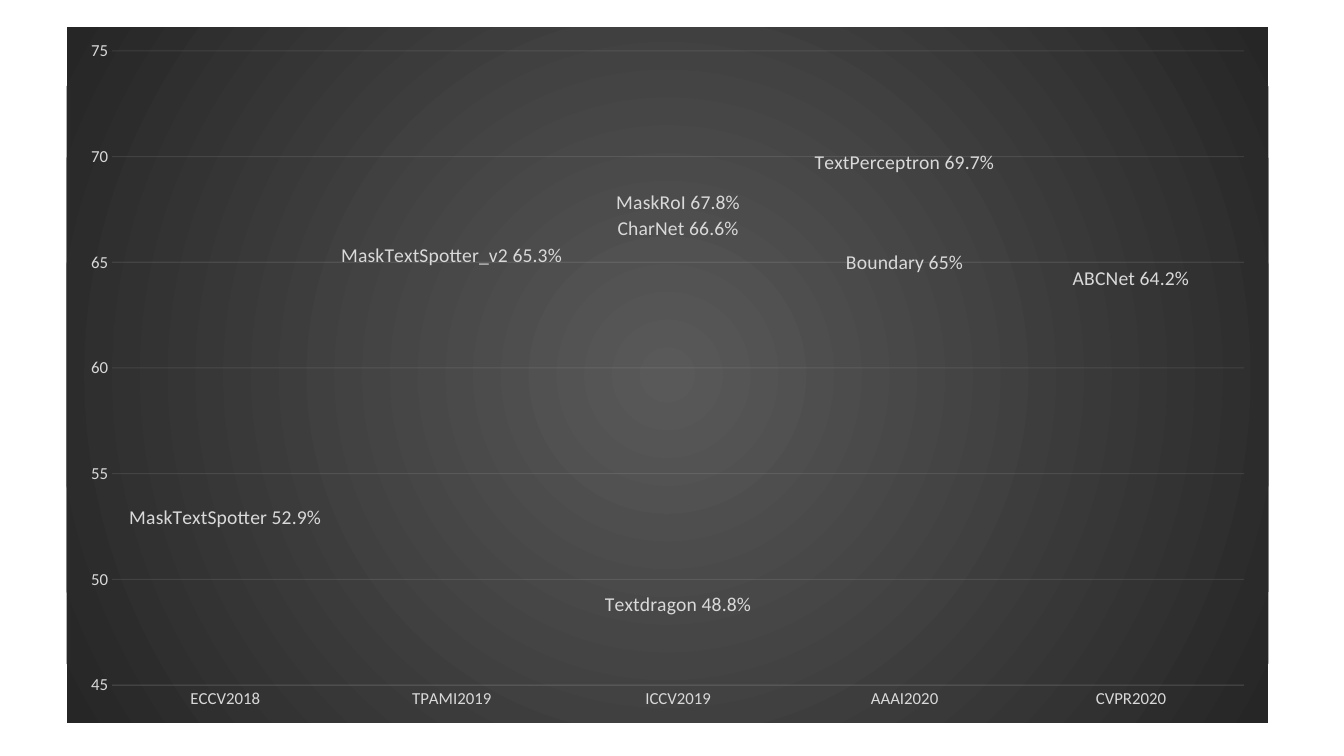
import lxml.etree
import pptx
import pptx.chart.data
import pptx.dml.color
import pptx.enum.chart
import pptx.oxml
import pptx.oxml.ns
import pptx.util

VENUES = ["ECCV2018", "TPAMI2019", "ICCV2019", "AAAI2020", "CVPR2020"]
RESULTS = [
    ("Series 1", [("MaskTextSpotter", 52.9), ("MaskTextSpotter_v2", 65.3),
                  ("Textdragon", 48.8), ("Boundary", 65), ("ABCNet", 64.2)]),
    ("Series 2", [None, None, ("CharNet", 66.6), ("TextPerceptron", 69.7), None]),
    ("Series 3", [None, None, ("MaskRoI", 67.8), None, None]),
]
FONT = "Calibri"
TEXT_COLOR = "D9D9D9"
GRID_COLOR = "F2F2F2"
GRADIENT = [(0, "595959"), (100, "262626")]
SLIDE_SIZE = (13.33, 7.5)
CHART_BOX = (0.66, 0.27, 11.92, 6.9)
PLOT_SHARES = {"x": 0.038, "y": 0.034, "w": 0.942, "h": 0.912}


def color(value):
    return pptx.dml.color.RGBColor.from_string(value)


def style_font(font, size):
    font.name = FONT
    font.size = pptx.util.Pt(size)
    font.bold = False
    font.color.rgb = color(TEXT_COLOR)


def style_faint_line(line):
    line.width = pptx.util.Pt(0.75)
    line.color.rgb = color(GRID_COLOR)
    fill = line.fill._xPr.find(pptx.oxml.ns.qn("a:solidFill"))
    lxml.etree.SubElement(fill[0], pptx.oxml.ns.qn("a:alpha"), val="10000")


def fill_background(chart):
    stops = "".join(
        f'<a:gs pos="{position * 1000}"><a:srgbClr val="{value}"/></a:gs>'
        for position, value in GRADIENT)
    properties = pptx.oxml.parse_xml(
        f'<c:spPr {pptx.oxml.ns.nsdecls("c", "a")}><a:gradFill><a:gsLst>{stops}</a:gsLst>'
        '<a:path path="circle"><a:fillToRect l="50000" t="50000" r="50000" b="50000"/></a:path>'
        '</a:gradFill><a:ln><a:noFill/></a:ln></c:spPr>')
    chart.element.find(pptx.oxml.ns.qn("c:chart")).addnext(properties)


def place_plot(chart):
    plot_area = chart.element.find(".//" + pptx.oxml.ns.qn("c:plotArea"))
    for layout in plot_area.findall(pptx.oxml.ns.qn("c:layout")):
        plot_area.remove(layout)
    shares = "".join(f'<c:{key} val="{share}"/>' for key, share in PLOT_SHARES.items())
    plot_area.insert(0, pptx.oxml.parse_xml(
        f'<c:layout {pptx.oxml.ns.nsdecls("c")}><c:manualLayout><c:layoutTarget val="inner"/>'
        f'<c:xMode val="edge"/><c:yMode val="edge"/>{shares}</c:manualLayout></c:layout>'))


def label_series(series, results):
    series.smooth = False
    series.format.line.fill.background()
    series.marker.style = pptx.enum.chart.XL_MARKER_STYLE.NONE
    for index, result in enumerate(results):
        if result is None:
            continue
        method, score = result
        label = series.points[index].data_label
        paragraph = label.text_frame.paragraphs[0]
        run = paragraph.add_run()
        run.text = f"{method} {score}%"
        style_font(run.font, 14)
        label.position = pptx.enum.chart.XL_LABEL_POSITION.CENTER


def style_axes(chart):
    for axis in (chart.category_axis, chart.value_axis):
        axis.major_tick_mark = pptx.enum.chart.XL_TICK_MARK.NONE
        axis.minor_tick_mark = pptx.enum.chart.XL_TICK_MARK.NONE
        style_font(axis.tick_labels.font, 12)
    style_faint_line(chart.category_axis.format.line)
    scores = chart.value_axis
    scores.minimum_scale, scores.maximum_scale, scores.major_unit = 45, 75, 5
    scores.format.line.fill.background()
    scores.has_major_gridlines = True
    style_faint_line(scores.major_gridlines.format.line)


def main():
    presentation = pptx.Presentation()
    presentation.slide_width, presentation.slide_height = map(pptx.util.Inches, SLIDE_SIZE)
    slide = presentation.slides.add_slide(presentation.slide_layouts[6])
    data = pptx.chart.data.CategoryChartData()
    data.categories = VENUES
    for name, results in RESULTS:
        data.add_series(name, [result and result[1] for result in results])
    chart = slide.shapes.add_chart(
        pptx.enum.chart.XL_CHART_TYPE.LINE, *map(pptx.util.Inches, CHART_BOX), data).chart
    chart.has_title = False
    chart.has_legend = False
    style_font(chart.font, 10)
    chart.plots[0].vary_by_categories = False
    for series, (name, results) in zip(chart.plots[0].series, RESULTS):
        label_series(series, results)
    style_axes(chart)
    place_plot(chart)
    fill_background(chart)
    presentation.save("out.pptx")


if __name__ == "__main__":
    main()
